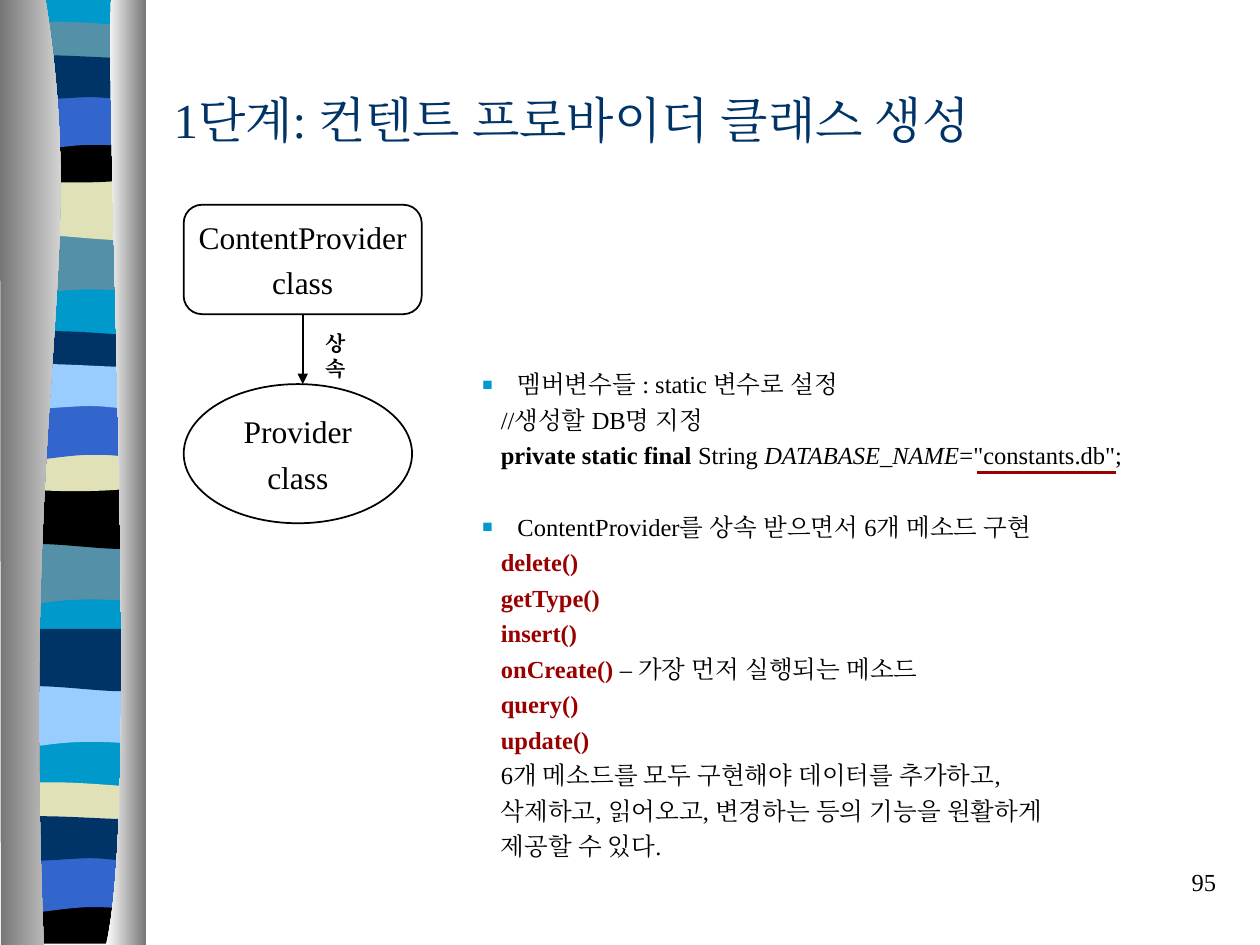
import lxml.etree
import pptx
import pptx.dml.color
import pptx.enum.shapes
import pptx.enum.text
import pptx.oxml.ns
import pptx.util

Pt = pptx.util.Pt
qn = pptx.oxml.ns.qn
Align = pptx.enum.text.PP_ALIGN
Anchor = pptx.enum.text.MSO_ANCHOR
Preset = pptx.enum.shapes.MSO_SHAPE
FONT = "Times New Roman"
COLORS = {
    "white": "FFFFFF", "black": "000000", "navy": "003366", "cyan": "0099CC",
    "teal": "5490A8", "sand": "E1E1B7", "blue": "3366CC", "sky": "99CCFF",
    "red": "990000", "shade": "767676",
}

# Each outline holds points (x, y) and curve segments (x1, y1, x2, y2, x, y).
OUTLINES = {
    "base": [(78, 0), (78, 538.5), (0, 538.5), (0, 0)],
    "swoosh": [(78, 0), (78, 34), (24, 28, 13, 39.5, 0, 34), (0, 0)],
    "ripple": [(78, 0), (78, 34), (65, 39.5, 24, 29.5, 0, 34), (0, 0)],
    "lens": [(78, 3.6), (78, 21), (65, 24, 13, 24, 0, 21), (0, 3.6),
             (4.5, 0, 16.5, 0.7, 29.5, 0.7), (42.5, 0.7, 68, 3, 78, 3.6)],
    "bowl": [(78, 0), (78, 23.5), (65, 27.5, 13, 27.5, 0, 23.5), (0, 0),
             (47.5, 3.6, 61, 0, 78, 0)],
    "foot": [(78, 0), (78, 26.6), (0, 26.6), (0, 0), (47.5, 3.6, 61, 0, 78, 0)],
    "arch": [(78, 0), (78, 34), (65.5, 29.5, 60.5, 29.5, 47.5, 29.5),
             (34.5, 29.5, 11.5, 34, 0, 34), (0, 0)],
    "crest": [(78, 3.6), (78, 26), (73, 29.5, 60.5, 26, 47.5, 26),
              (34.5, 26, 8, 29.5, 0, 26), (0, 3.6),
              (11, 0, 52.5, 3.6, 65.5, 3.6), (78.5, 3.6, 75, 3.6, 78, 3.6)],
    "left column": [(26, 0), (51, 156, 12, 213.5, 25, 540), (0.5, 540), (0, 0)],
    "right column": [(4, 0), (1, 90, 20.5, 465, 1, 540), (24, 540), (24, 0)],
}
STRIPES = [
    ("base", "cyan", -0.7), ("swoosh", "teal", 133.2), ("ripple", "sand", 101.5),
    ("lens", "teal", 11.7), ("bowl", "black", 77.8), ("arch", "blue", 53.3),
    ("crest", "navy", 29.5), ("swoosh", "teal", 310.3), ("ripple", "black", 278),
    ("lens", "navy", 188.6), ("bowl", "sand", 254.2), ("arch", "blue", 230.4),
    ("crest", "sky", 206), ("swoosh", "sky", 391.7), ("ripple", "navy", 359.3),
    ("lens", "sand", 446.4), ("foot", "black", 512.6), ("arch", "blue", 488.9),
    ("crest", "navy", 464.4),
]
MEMBERS = [
    ("bullet", [("멤버변수들 : static 변수로 설정", "")]),
    ("plain", [("//생성할 DB명 지정", "")]),
    ("plain", [("private static final", "b"), (" String ", ""),
               ("DATABASE_NAME", "i"), ('="constants.db";', "")]),
    ("bullet", [("ContentProvider를 상속 받으면서 6개 메소드 구현", "")]),
    ("plain", [("delete()", "br")]),
    ("plain", [("getType()", "br")]),
    ("plain", [("insert()", "br")]),
    ("plain", [("onCreate() ", "br"), ("– 가장 먼저 실행되는 메소드", "")]),
    ("plain", [("query()", "br")]),
    ("plain", [("update()", "br")]),
    ("plain", [("6개 메소드를 모두 구현해야 데이터를 추가하고,", "")]),
    ("plain", [("삭제하고, 읽어오고, 변경하는 등의 기능을 원활하게", "")]),
    ("plain", [("제공할 수 있다.", "")]),
]


def rgb(name):
    """Return the named colour."""
    return pptx.dml.color.RGBColor.from_string(COLORS[name])


def style_run(run, size, color="black", bold=False, italic=False):
    """Set the look of a run in both its Latin and East Asian script."""
    font = run.font
    font.name, font.size, font.bold, font.italic = FONT, Pt(size), bold, italic
    font.color.rgb = rgb(color)
    lxml.etree.SubElement(run._r.get_or_add_rPr(), qn("a:ea"), typeface=FONT)


def place(shape, box):
    """Move a shape into a box of points."""
    shape.left, shape.top, shape.width, shape.height = map(Pt, box)


def add_outline(group, kind, left, top):
    """Draw a borderless outline with true curves and return it."""
    outline = OUTLINES[kind]
    points = [(Pt(left + segment[i]), Pt(top + segment[i + 1]))
              for segment in outline for i in range(0, len(segment), 2)]
    builder = group.shapes.build_freeform(*points[0], scale=1.0)
    builder.add_line_segments(points[1:], close=True)
    shape = builder.convert_to_shape()
    lines = iter(list(shape._element.iter(qn("a:lnTo"))))
    for segment in outline[1:]:
        command = next(lines)
        if len(segment) == 6:
            command.tag = qn("a:cubicBezTo")
            for _ in range(2):
                line = next(lines)
                command.append(line[0])
                line.getparent().remove(line)
    shape.shadow.inherit = False
    shape.line.fill.background()
    return shape


def add_pillar(presentation, slide, box):
    """Draw the striped band between two columns as part of the master."""
    left, top, width, _ = box
    pillar = slide.shapes.add_group_shape()
    for kind, color, offset in STRIPES:
        shape = add_outline(pillar, kind, left + 4, top + offset)
        shape.fill.solid()
        shape.fill.fore_color.rgb = rgb(color)
    columns = [("left column", left, ("shade", "white")),
               ("right column", left + width - 24, ("white", "shade"))]
    for kind, x, colors in columns:
        fill = add_outline(pillar, kind, x, top).fill
        fill.gradient()
        fill.gradient_angle = 0
        for stop, color in zip(fill.gradient_stops, colors):
            stop.color.rgb = rgb(color)
    for number, properties in enumerate(pillar._element.iter(qn("p:cNvPr")), 100):
        properties.set("id", str(number))
    presentation.slide_master.element.cSld.spTree.insert(2, pillar._element)


def add_title(slide, box):
    """Fill the title placeholder."""
    title = slide.shapes.title
    place(title, box)
    frame = title.text_frame
    frame.text = "1단계: 컨텐트 프로바이더 클래스 생성"
    frame.auto_size = pptx.enum.text.MSO_AUTO_SIZE.NONE
    frame.vertical_anchor = Anchor.MIDDLE
    frame.paragraphs[0].alignment = Align.LEFT
    style_run(frame.paragraphs[0].runs[0], 28, "navy")


def add_label(slide, box, text, size, align, bold=False):
    """Add one line of free text."""
    frame = slide.shapes.add_textbox(*map(Pt, box)).text_frame
    frame.word_wrap = True
    frame.text = text
    frame.paragraphs[0].alignment = align
    style_run(frame.paragraphs[0].runs[0], size, bold=bold)


def add_node(slide, preset, box, text):
    """Add an outlined class node."""
    shape = slide.shapes.add_shape(preset, *map(Pt, box))
    shape.shadow.inherit = False
    shape.fill.solid()
    shape.fill.fore_color.rgb = rgb("white")
    shape.line.color.rgb = rgb("black")
    shape.line.width = Pt(1)
    frame = shape.text_frame
    frame.text = text
    frame.word_wrap = False
    frame.vertical_anchor = Anchor.MIDDLE
    for index, paragraph in enumerate(frame.paragraphs):
        paragraph.alignment = Align.CENTER
        paragraph.space_before = Pt(4.5 if index else 0)
        style_run(paragraph.runs[0], 18)
    return shape


def add_line(slide, start, end, color, width, arrow=False):
    """Add a straight line, with an arrowhead if asked."""
    line = slide.shapes.add_connector(
        pptx.enum.shapes.MSO_CONNECTOR.STRAIGHT, *map(Pt, start + end))
    line.line.color.rgb = rgb(color)
    line.line.width = Pt(width)
    properties = line._element.spPr
    if arrow:
        lxml.etree.SubElement(properties.find(qn("a:ln")), qn("a:tailEnd"), type="triangle")
    lxml.etree.SubElement(properties, qn("a:effectLst"))
    return line


def add_inheritance(slide, box):
    """Draw the parent class, the child class and the arrow between them."""
    left, top, width, height = box
    parent = add_node(slide, Preset.ROUNDED_RECTANGLE, (left, top, width, 62.5),
                      "ContentProvider\nclass")
    child_top = top + height - 79.5
    add_node(slide, Preset.OVAL, (left, child_top, 130.5, 79.5), "Provider\nclass")
    middle = left + width / 2
    arrow = add_line(slide, (middle, top + 62.5), (middle, child_top), "black", 1, True)
    arrow.begin_connect(parent, 2)
    add_label(slide, (middle + 0.5, top + 68.5, 37, 21.5), "상속", 12, Align.CENTER, True)


def add_members(slide, box):
    """Fill the body placeholder with members and underline the file name."""
    left, top, _, _ = box
    body = slide.placeholders[1]
    place(body, box)
    frame = body.text_frame
    frame.auto_size = pptx.enum.text.MSO_AUTO_SIZE.NONE
    frame.word_wrap = True
    for index, (kind, parts) in enumerate(MEMBERS):
        paragraph = frame.add_paragraph() if index else frame.paragraphs[0]
        bulleted = kind == "bullet"
        paragraph.space_before = Pt(0 if not index else 23.8 if bulleted else 3.5)
        properties = paragraph._p.get_or_add_pPr()
        properties.set("marL", str(Pt(20 if bulleted else 10.5)))
        properties.set("indent", str(Pt(-20 if bulleted else 0)))
        if bulleted:
            color = lxml.etree.SubElement(properties, qn("a:buClr"))
            lxml.etree.SubElement(color, qn("a:srgbClr"), val=COLORS["cyan"])
            lxml.etree.SubElement(properties, qn("a:buSzPct"), val="70000")
            lxml.etree.SubElement(properties, qn("a:buChar"), char="■")
        else:
            lxml.etree.SubElement(properties, qn("a:buNone"))
        for text, marks in parts:
            run = paragraph.add_run()
            run.text = text
            style_run(run, 14, "red" if "r" in marks else "black",
                      "b" in marks, "i" in marks)
    add_line(slide, (left + 290, top + 62.5), (left + 369.5, top + 62.5), "red", 2.25)


def main():
    """Build and save the slide."""
    presentation = pptx.Presentation()
    presentation.slide_width, presentation.slide_height = Pt(720), Pt(540)
    slide = presentation.slides.add_slide(presentation.slide_layouts[1])
    add_pillar(presentation, slide, (0, 0, 83.5, 540))
    add_label(slide, (552, 492, 150, 36), "95", 14, Align.RIGHT)
    add_title(slide, (92, 36, 612, 64))
    add_inheritance(slide, (105, 117, 136, 182))
    add_members(slide, (268.5, 207.5, 390, 288))
    presentation.save("out.pptx")


if __name__ == "__main__":
    main()
